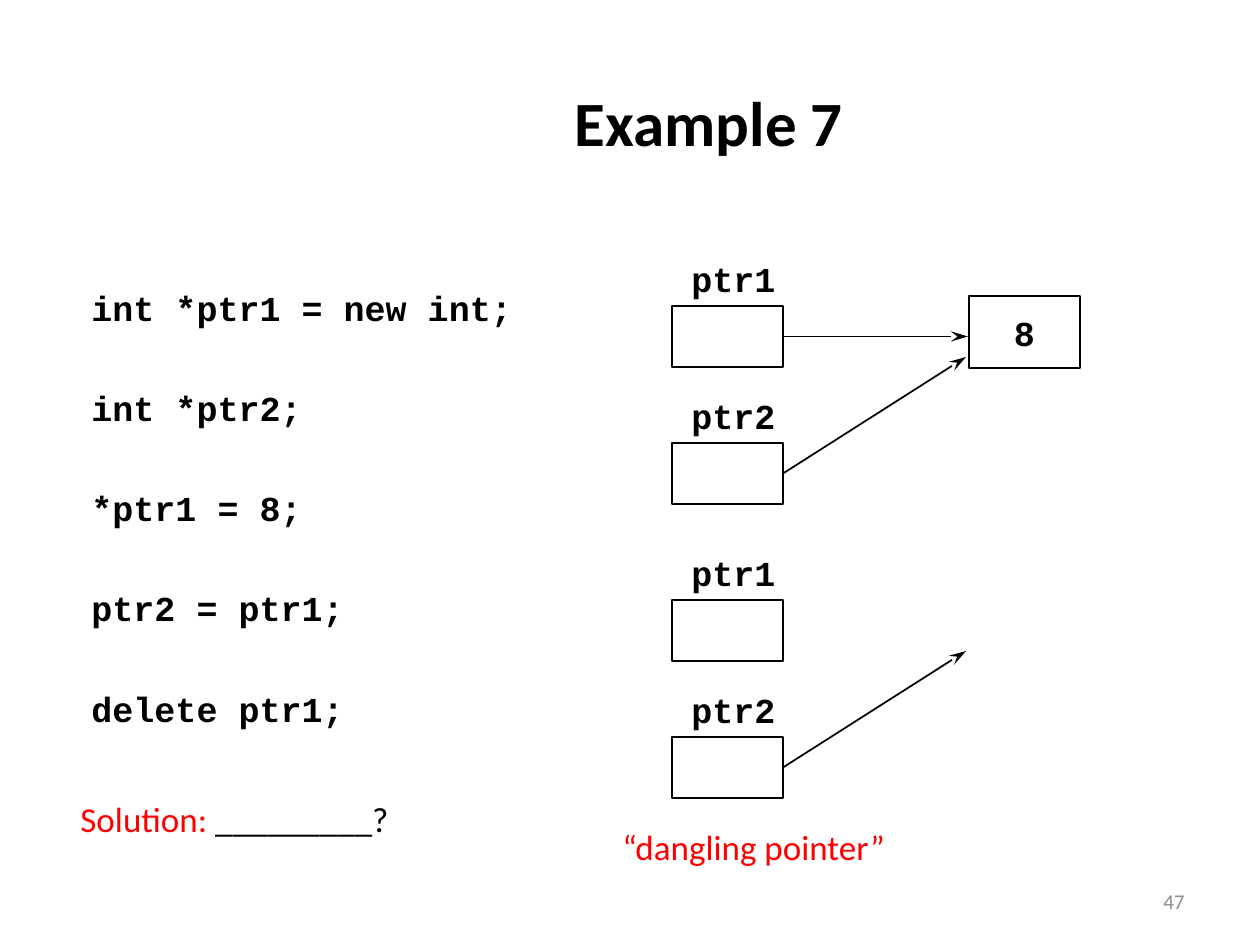
import pptx
import pptx.util
import pptx.dml.color
import pptx.enum.shapes
import pptx.enum.text
import pptx.oxml.ns
import lxml.etree

RGB = pptx.dml.color.RGBColor
ALIGN = pptx.enum.text.PP_ALIGN
ANCHOR = pptx.enum.text.MSO_ANCHOR

BLACK = RGB(0x00, 0x00, 0x00)
RED = RGB(0xFF, 0x00, 0x00)
GRAY = RGB(0x8C, 0x8C, 0x8C)
SANS, MONO = "Calibri", "Courier New"

# Content
TITLE = "Example 7"
CODE = ["int *ptr1 = new int;", "int *ptr2;", "*ptr1 = 8;",
        "ptr2 = ptr1;", "delete ptr1;"]
ANSWER = [("Solution: ", RED), ("_________?", BLACK)]
NOTE = "“dangling pointer”"
NAMES = ["ptr1", "ptr2"]
VALUE = "8"
PAGE = "47"

# Layout in px, 126 to the inch
SCALE = 914400 / 126
WIDE, HIGH = 1260, 945
LEFT, BOX_W, BOX_H = 672, 111, 61
TOPS = [306, 600]           # first box of each diagram
STEP = 137                  # from ptr1 box to ptr2 box
HEAP = (969, 296, BOX_W, 72)


def px(num):
    return pptx.util.Emu(round(num * SCALE))


def write(frame, lines, size, font, bold=False, align=ALIGN.LEFT,
          first=0, gap=0):
    """Fill a frame with lines, each a list of (text, colour) runs."""
    for i, runs in enumerate(lines):
        para = frame.add_paragraph() if i else frame.paragraphs[0]
        para.alignment = align
        para.space_before = pptx.util.Pt(gap if i else first)
        for text, color in runs:
            run = para.add_run()
            run.text = text
            run.font.size = pptx.util.Pt(size)
            run.font.name = font
            run.font.bold = bold
            run.font.color.rgb = color


def label(area, lines, size, font, wrap=True, anchor=ANCHOR.TOP, **style):
    box = slide.shapes.add_textbox(*map(px, area))
    box.text_frame.word_wrap = wrap
    box.text_frame.vertical_anchor = anchor
    write(box.text_frame, lines, size, font, **style)


def cell(area):
    box = slide.shapes.add_shape(
        pptx.enum.shapes.MSO_SHAPE.RECTANGLE, *map(px, area))
    box.shadow.inherit = False
    box.fill.background()
    box.line.color.rgb = BLACK
    box.line.width = pptx.util.Pt(1)
    return box


def arrow(box, x, y):
    """Draw an arrow from the right side of a box to a point."""
    line = slide.shapes.add_connector(
        pptx.enum.shapes.MSO_CONNECTOR.STRAIGHT, 0, 0, px(x), px(y))
    line.begin_connect(box, 3)
    line.line.color.rgb = BLACK
    line.line.width = pptx.util.Pt(1)
    qn = pptx.oxml.ns.qn
    lxml.etree.SubElement(line.line._get_or_add_ln(), qn("a:tailEnd"),
                          type="stealth", w="med", len="lg")
    lxml.etree.SubElement(line._element.spPr, qn("a:effectLst"))


deck = pptx.Presentation()
deck.slide_width, deck.slide_height = px(WIDE), px(HIGH)
slide = deck.slides.add_slide(deck.slide_layouts[6])

# Title and code
label((252, 44, 914, 155), [[(TITLE, BLACK)]], 36, SANS,
      anchor=ANCHOR.MIDDLE, bold=True, align=ALIGN.CENTER)
label((79, 280, 450, 513), [[(text, BLACK)] for text in CODE], 20, MONO,
      wrap=False, bold=True, first=4, gap=33.3)

# Pointer diagrams, before and after the delete
for top in TOPS:
    boxes = []
    for i, name in enumerate(NAMES):
        y = top + i * STEP
        label((LEFT + 7, y - 55, BOX_W, 55), [[(name, BLACK)]], 20, MONO,
              wrap=False, bold=True)
        boxes.append(cell((LEFT, y, BOX_W, BOX_H)))
    if top == TOPS[0]:
        heap = cell(HEAP)
        heap.text_frame.word_wrap = False
        heap.text_frame.vertical_anchor = ANCHOR.MIDDLE
        write(heap.text_frame, [[(VALUE, BLACK)]], 20, MONO, bold=True,
              align=ALIGN.CENTER)
        arrow(boxes[0], 968, top + BOX_H / 2)
    arrow(boxes[1], 966, top + 51)

# Answer, note and page number
label((68, 791, 433, 55), [ANSWER], 20, SANS)
label((610, 819, 294, 55), [[(NOTE, RED)]], 20, SANS)
label((903, 876, 294, 50), [[(PAGE, GRAY)]], 12, SANS,
      anchor=ANCHOR.MIDDLE, align=ALIGN.RIGHT)

deck.save("out.pptx")
